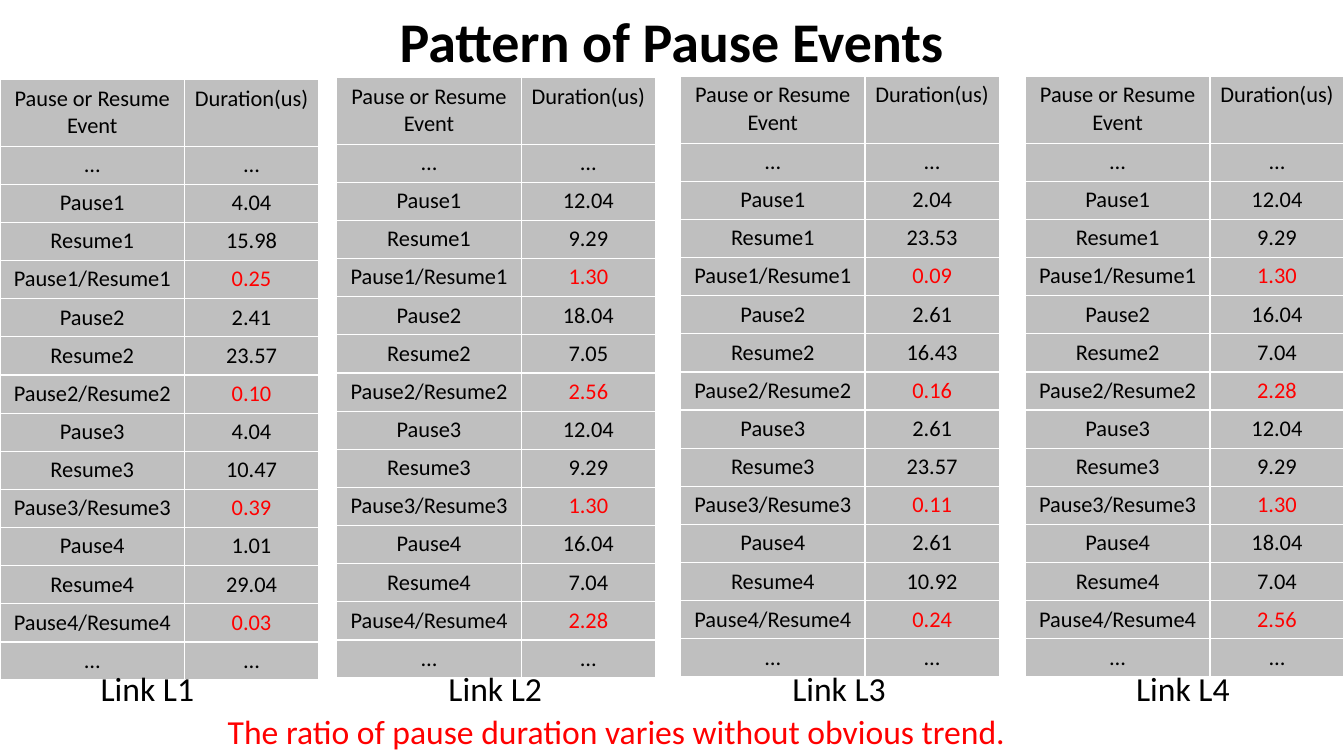
"""Build the slide that lists pause and resume durations on four links."""
from pptx import Presentation
from pptx.dml.color import RGBColor
from pptx.enum.text import MSO_ANCHOR, MSO_AUTO_SIZE as Fit, PP_ALIGN as Align
from pptx.util import Inches, Pt

TITLE = "Pattern of Pause Events"
NOTE = "The ratio of pause duration varies without obvious trend."
HEAD = ("Pause or Resume Event", "Duration(us)")
GAP = ("…", "…")
LINKS = [
    {"name": "Link L1", "left": 0, "top": 0.79, "label": 0.9,
     "pairs": [(4.04, 15.98), (2.41, 23.57), (4.04, 10.47), (1.01, 29.04)]},
    {"name": "Link L2", "left": 3.34, "top": 0.77, "label": 4.35,
     "pairs": [(12.04, 9.29), (18.04, 7.05), (12.04, 9.29), (16.04, 7.04)]},
    {"name": "Link L3", "left": 6.75, "top": 0.76, "label": 7.76,
     "pairs": [(2.04, 23.53), (2.61, 16.43), (2.61, 23.57), (2.61, 10.92)]},
    {"name": "Link L4", "left": 10.17, "top": 0.76, "label": 11.17,
     "pairs": [(12.04, 9.29), (16.04, 7.04), (12.04, 9.29), (18.04, 7.04)]},
]
WIDTHS = (1.83, 1.33)
HIGH, HEAD_H = 5.96, 0.66
BLACK, RED, GRAY = "000000", "FF0000", "BFBFBF"


def color(code):
    return RGBColor.from_string(code)


def write(frame, text, size, ink=BLACK, align=Align.LEFT, bold=False):
    frame.text = text
    para = frame.paragraphs[0]
    para.alignment = align
    font = para.runs[0].font
    font.name, font.size, font.bold = "Calibri", Pt(size), bold
    font.color.rgb = color(ink)


def add_label(slide, text, left, top, width, ink=BLACK):
    box = slide.shapes.add_textbox(
        Inches(left), Inches(top), Inches(width), Inches(0.5))
    write(box.text_frame, text, 24, ink)
    box.text_frame.word_wrap = False
    box.text_frame.auto_size = Fit.SHAPE_TO_FIT_TEXT


def list_rows(pairs):
    rows = [HEAD, GAP]
    for num, (pause, resume) in enumerate(pairs, 1):
        rows += [
            (f"Pause{num}", f"{pause:.2f}"),
            (f"Resume{num}", f"{resume:.2f}"),
            (f"Pause{num}/Resume{num}", f"{pause / resume:.2f}"),
        ]
    return rows + [GAP]


def add_grid(slide, link):
    rows = list_rows(link["pairs"])
    table = slide.shapes.add_table(
        len(rows), len(WIDTHS), Inches(link["left"]), Inches(link["top"]),
        Inches(sum(WIDTHS)), Inches(HIGH)).table
    table.horz_banding = False
    for col, width in zip(table.columns, WIDTHS):
        col.width = Inches(width)
    step = (HIGH - HEAD_H) / (len(rows) - 1)
    for r, row in enumerate(rows):
        table.rows[r].height = Inches(step if r else HEAD_H)
        for c, text in enumerate(row):
            cell = table.cell(r, c)
            cell.fill.solid()
            cell.fill.fore_color.rgb = color(GRAY)
            ratio = c == 1 and "/" in row[0]
            write(cell.text_frame, text, 16, RED if ratio else BLACK, Align.CENTER)


def main():
    deck = Presentation()
    deck.slide_width, deck.slide_height = Inches(13.33), Inches(7.5)
    slide = deck.slides.add_slide(deck.slide_layouts[5])
    title = slide.shapes.title
    title.left, title.top = Inches(0.35), Inches(0.01)
    title.width, title.height = Inches(12.62), Inches(0.77)
    write(title.text_frame, TITLE, 40, align=Align.CENTER, bold=True)
    title.text_frame.vertical_anchor = MSO_ANCHOR.TOP
    title.text_frame.auto_size = Fit.SHAPE_TO_FIT_TEXT
    for link in LINKS:
        add_grid(slide, link)
        add_label(slide, link["name"], link["label"], 6.58, 1.14)
    add_label(slide, NOTE, 2.16, 7, 7.99, RED)
    deck.save("out.pptx")


if __name__ == "__main__":
    main()
